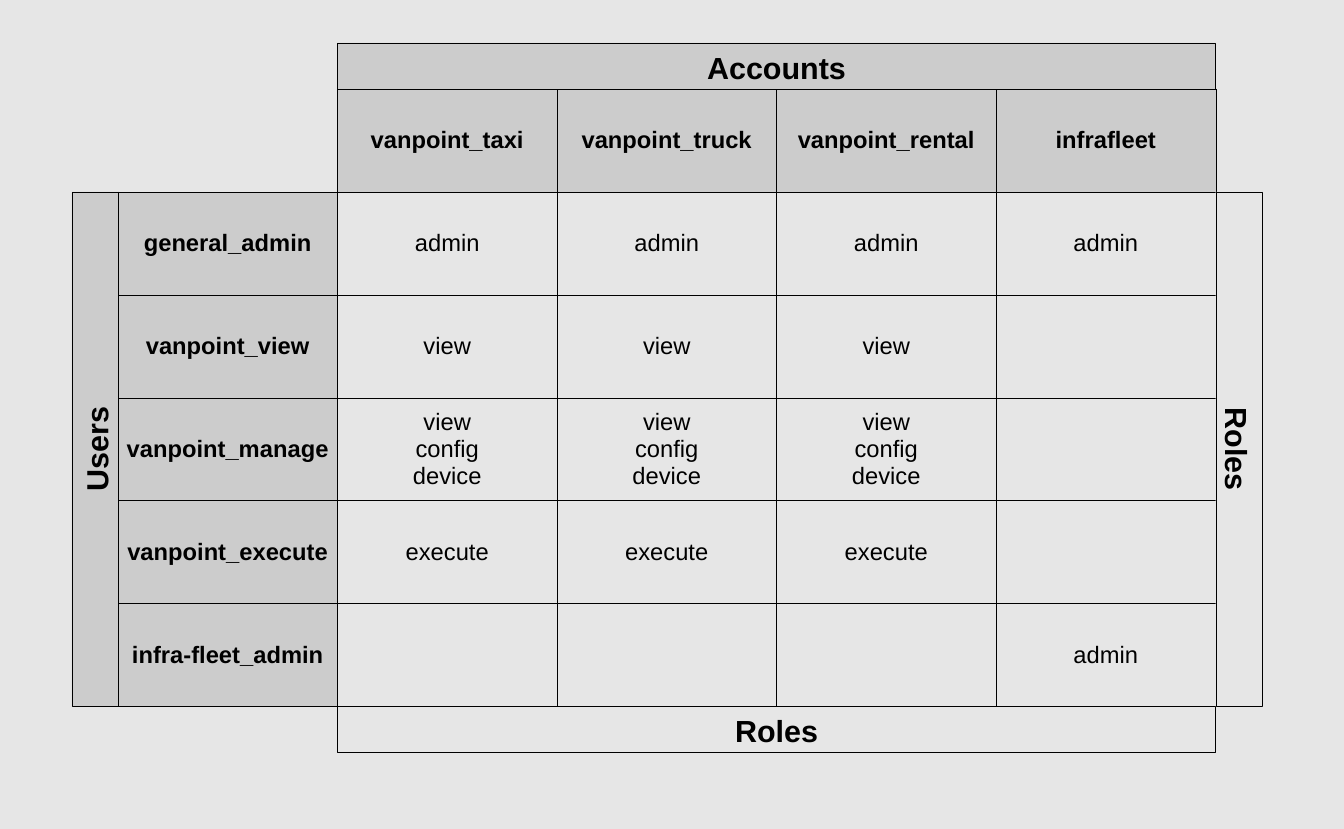
from lxml import etree
from pptx import Presentation, util as u
from pptx.dml.color import RGBColor
from pptx.enum import shapes, text
from pptx.oxml.ns import qn

# Content
COLS = ["vanpoint_taxi", "vanpoint_truck", "vanpoint_rental", "infrafleet"]
ROWS = [
    ("general_admin", ["admin"] * 4),
    ("vanpoint_view", ["view"] * 3 + [""]),
    ("vanpoint_manage", ["view\nconfig\ndevice"] * 3 + [""]),
    ("vanpoint_execute", ["execute"] * 3 + [""]),
    ("infra-fleet_admin", [""] * 3 + ["admin"]),
]
HEX = {"ink": "000000", "head": "CCCCCC", "page": "E6E6E6"}
FONT = "Arial"
HAIR = u.Pt(0.06)

# Layout in px
PX = u.Inches(1) / 122
LEFT, TOP, WIDE, ROW_H, BAR = 118, 89, 1098, 103, 46
grid = [["", *COLS]] + [[user, *roles] for user, roles in ROWS]
col_w = WIDE / len(grid[0])
body_x, body_y = LEFT + col_w, TOP + ROW_H
body_w, body_h = WIDE - col_w, ROW_H * len(ROWS)
right, low = LEFT + WIDE, body_y + body_h

# Label, left, top, width, height, turn, fill
BARS = [
    ("Accounts", body_x, TOP - BAR, body_w, BAR, 0, "head"),
    ("Users", LEFT - BAR, body_y, BAR, body_h, 270, "head"),
    ("Roles", body_x, low, body_w, BAR, 0, "page"),
    ("Roles", right, body_y, BAR, body_h, 90, "page"),
]


def px(n):
    return u.Emu(round(n * PX))


def rgb(name):
    return RGBColor.from_string(HEX[name])


def write(frame, words, size, bold):
    for i, line in enumerate(words.split("\n")):
        para = frame.paragraphs[0] if i == 0 else frame.add_paragraph()
        para.alignment = text.PP_ALIGN.CENTER
        run = para.add_run()
        run.text = line
        font = run.font
        font.name, font.size, font.bold = FONT, u.Pt(size), bold
        font.color.rgb = rgb("ink")


def edge(cell, sides):
    props = cell._tc.get_or_add_tcPr()
    for side in "LRTB":
        line = etree.SubElement(props, qn("a:ln" + side), w=str(int(HAIR)))
        if side in sides:
            fill = etree.SubElement(line, qn("a:solidFill"))
            etree.SubElement(fill, qn("a:srgbClr"), val=HEX["ink"])
        else:
            etree.SubElement(line, qn("a:noFill"))


def add_grid(slide):
    table = slide.shapes.add_table(
        len(grid), len(grid[0]), px(LEFT), px(TOP), px(WIDE), px(ROW_H * len(grid))
    ).table
    table.first_row = table.horz_banding = False
    for col in table.columns:
        col.width = px(col_w)
    for r, items in enumerate(grid):
        table.rows[r].height = px(ROW_H)
        for c, words in enumerate(items):
            cell = table.cell(r, c)
            corner, head = r == c == 0, r == 0 or c == 0
            cell.margin_left = cell.margin_right = px(5)
            cell.margin_top = cell.margin_bottom = px(6)
            cell.vertical_anchor = text.MSO_ANCHOR.MIDDLE
            edge(cell, "RB" if corner else "LRTB")
            if corner:
                cell.fill.background()
            else:
                cell.fill.solid()
                cell.fill.fore_color.rgb = rgb("head" if head else "page")
            if words:
                write(cell.text_frame, words, 14, head)


def add_bar(slide, label, x, y, w, h, turn, fill):
    # A turned bar keeps its centre and swaps its sides
    if turn:
        x, y, w, h = x + (w - h) / 2, y + (h - w) / 2, h, w
    bar = slide.shapes.add_shape(
        shapes.MSO_SHAPE.RECTANGLE, px(x), px(y), px(w), px(h))
    bar.rotation = turn
    bar.shadow.inherit = False
    bar.fill.solid()
    bar.fill.fore_color.rgb = rgb(fill)
    bar.line.color.rgb = rgb("ink")
    bar.line.width = HAIR
    frame = bar.text_frame
    frame.word_wrap = True
    frame.auto_size = text.MSO_AUTO_SIZE.SHAPE_TO_FIT_TEXT
    frame.vertical_anchor = text.MSO_ANCHOR.TOP
    write(frame, label, 18, True)


def main():
    deck = Presentation()
    deck.slide_width, deck.slide_height = u.Inches(11.02), u.Inches(6.8)
    slide = deck.slides.add_slide(deck.slide_layouts[6])
    back = slide.background.fill
    back.solid()
    back.fore_color.rgb = rgb("page")
    add_grid(slide)
    for bar in BARS:
        add_bar(slide, *bar)
    deck.save("out.pptx")


if __name__ == "__main__":
    main()
